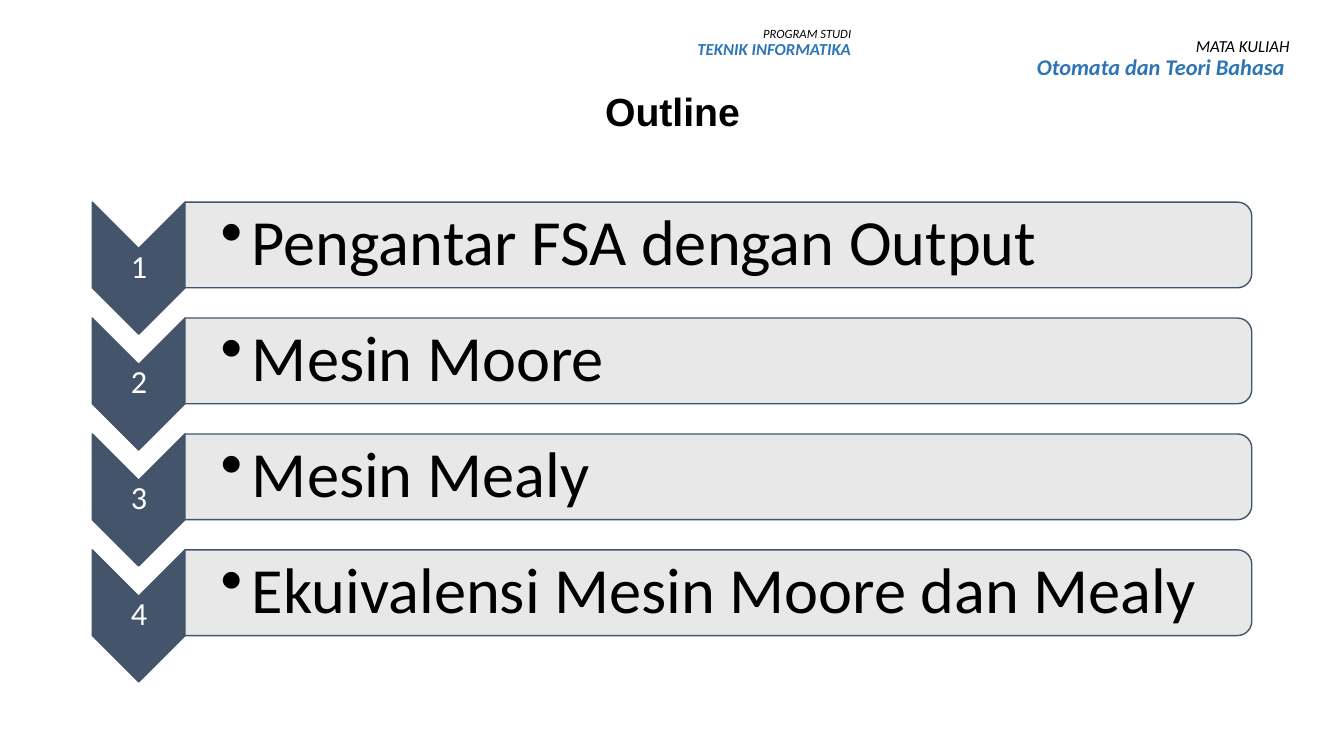
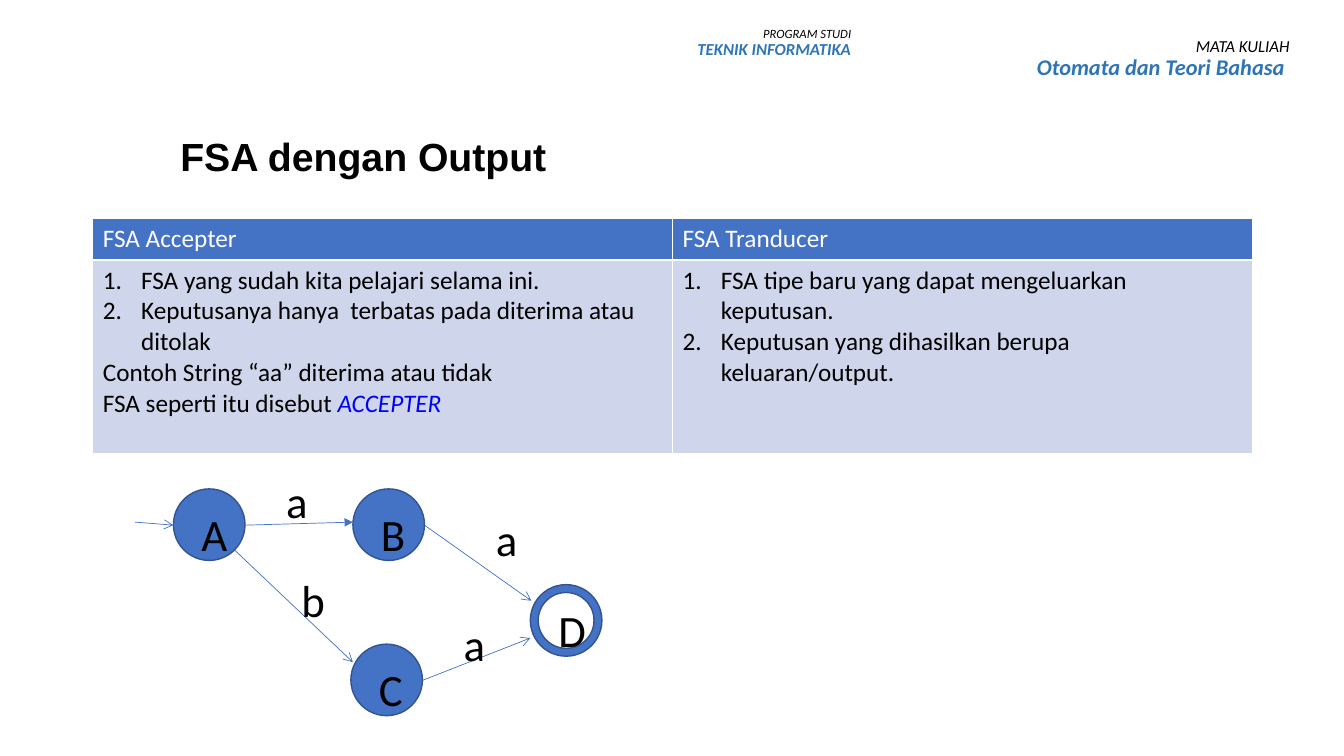
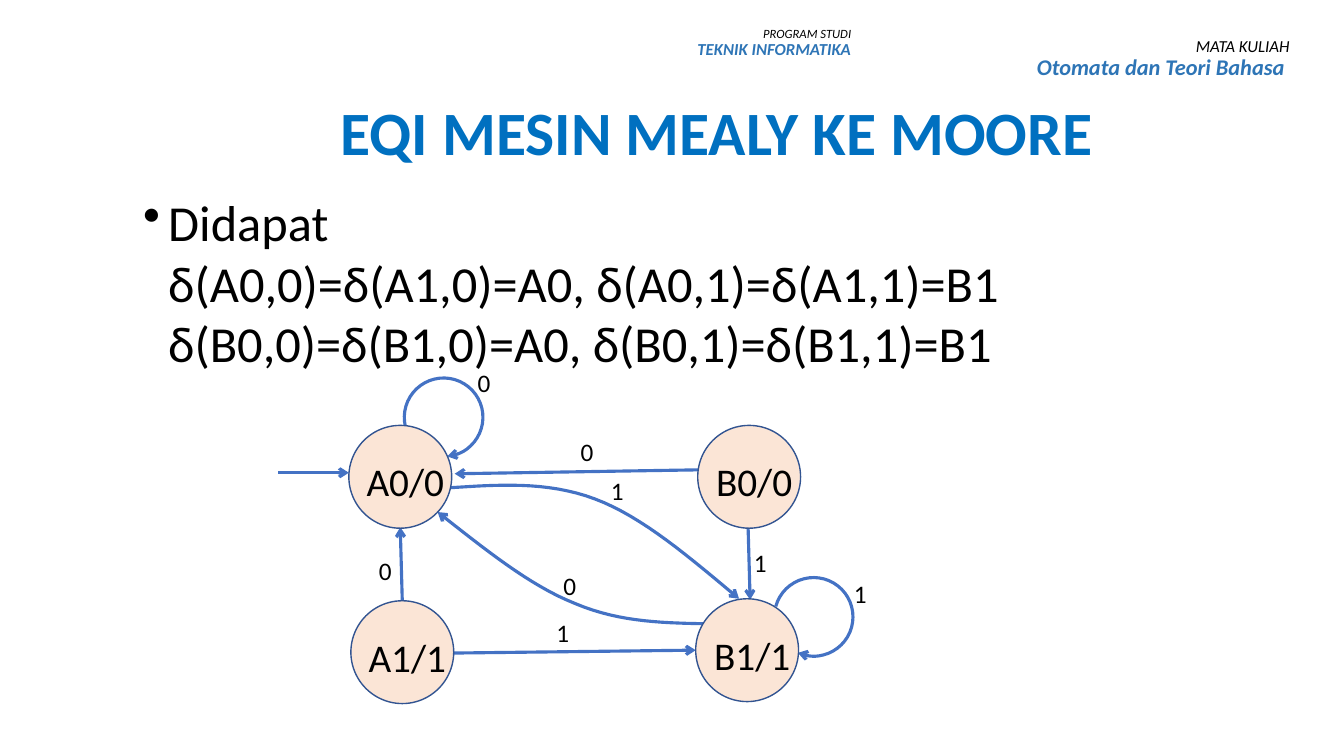
from dataclasses import dataclass
from lxml.etree import SubElement
from pptx import Presentation
from pptx.dml.color import RGBColor
from pptx.enum.shapes import MSO_CONNECTOR, MSO_SHAPE
from pptx.enum.text import MSO_ANCHOR, PP_ALIGN
from pptx.oxml.ns import qn
from pptx.util import Inches, Pt


@dataclass(frozen=True)
class Theme:
    black: RGBColor = RGBColor.from_string("000000")
    white: RGBColor = RGBColor.from_string("FFFFFF")
    slate: RGBColor = RGBColor.from_string("44546A")
    bar: RGBColor = RGBColor.from_string("E7E6E6")
    blue: RGBColor = RGBColor.from_string("4472C4")
    navy: RGBColor = RGBColor.from_string("325491")
    header: RGBColor = RGBColor.from_string("2E75B6")
    heading: RGBColor = RGBColor.from_string("0070C0")
    cell: RGBColor = RGBColor.from_string("CFD5EA")
    accent: RGBColor = RGBColor.from_string("0000FF")
    peach: RGBColor = RGBColor.from_string("FBE5D6")
    body_font: str = "Calibri"
    title_font: str = "Arial"
    title_size: int = 28
    heading_size: int = 44
    outline_size: int = 46
    number_size: int = 23
    formula_size: int = 36
    table_size: int = 18
    node_size: int = 32
    state_size: int = 28
    edge_size: int = 18


theme = Theme()


def write(frame, text, size, color=theme.black, font=theme.body_font, bold=False, italic=False,
          align=PP_ALIGN.LEFT, spacing=None, bullet=None, indent=0):
    frame.word_wrap = True
    para = frame.paragraphs[-1]
    if para.text:
        para = frame.add_paragraph()
    para.text = text
    para.alignment = align
    if spacing:
        para.line_spacing = spacing
    properties = para._p.get_or_add_pPr()
    if indent:
        properties.set("marL", str(Inches(indent)))
        properties.set("indent", str(Inches(-indent if bullet else 0)))
    if bullet == "•":
        SubElement(properties, qn("a:buChar"), char=bullet)
    elif bullet:
        SubElement(properties, qn("a:buAutoNum"), type=bullet)
    for span in para.runs:
        span.font.name = font
        span.font.size = Pt(size)
        span.font.color.rgb = color
        span.font.bold = bold
        span.font.italic = italic
    return para


def style_arrow(line_shape, width, tip="arrow"):
    line_shape.line.color.rgb = theme.blue
    line_shape.line.width = Pt(width)
    properties = line_shape.element.spPr
    SubElement(properties.get_or_add_ln(), qn("a:tailEnd"), type=tip)
    SubElement(properties, qn("a:effectLst"))


deck = Presentation()
deck.slide_width = Inches(13.33)
deck.slide_height = Inches(7.5)
outline, acceptor, conversion = [deck.slides.add_slide(deck.slide_layouts[6]) for _ in range(3)]

titles = [
    (outline, "Outline", (0.92, 0.4, 11.5, 1.45), PP_ALIGN.CENTER),
    (acceptor, "FSA dengan Output", (1.69, 1.13, 10.66, 0.89), PP_ALIGN.LEFT),
]
for page, text, place, align in titles:
    frame = page.shapes.add_textbox(*map(Inches, place)).text_frame
    frame.vertical_anchor = MSO_ANCHOR.MIDDLE
    write(frame, text, theme.title_size, font=theme.title_font, bold=True, align=align, spacing=0.9)

topics = ["Pengantar FSA dengan Output", "Mesin Moore", "Mesin Mealy", "Ekuivalensi Mesin Moore dan Mealy"]
for index, topic in enumerate(topics):
    top = 2.2 + 1.15 * index
    chevron = outline.shapes.add_shape(
        MSO_SHAPE.CHEVRON, Inches(0.72), Inches(top), Inches(1.31), Inches(0.92))
    bar = outline.shapes.add_shape(
        MSO_SHAPE.ROUND_2_SAME_RECTANGLE, Inches(6.7), Inches(top - 5.06), Inches(0.85), Inches(10.58))
    for shape, color in ((chevron, theme.slate), (bar, theme.bar)):
        shape.rotation = 90
        shape.shadow.inherit = False
        shape.fill.solid()
        shape.fill.fore_color.rgb = color
        shape.line.color.rgb = theme.slate
        shape.line.width = Pt(1)
    SubElement(bar.element.spPr.find(qn("a:solidFill"))[0], qn("a:alpha"), val="90000")

    number = outline.shapes.add_textbox(
        Inches(0.92), Inches(top + 0.26), Inches(0.92), Inches(0.39)).text_frame
    label = outline.shapes.add_textbox(
        Inches(1.83), Inches(top - 0.16), Inches(10.54), Inches(0.77)).text_frame
    for frame, left_margin, margin in ((number, 0.02, 0.02), (label, 0.36, 0.03)):
        frame.vertical_anchor = MSO_ANCHOR.MIDDLE
        frame.margin_left = Inches(left_margin)
        frame.margin_right = frame.margin_top = frame.margin_bottom = Inches(margin)
    write(number, str(index + 1), theme.number_size, theme.white, align=PP_ALIGN.CENTER, spacing=0.9)
    write(label, topic, theme.outline_size, spacing=0.9, bullet="•", indent=0.31)

table = acceptor.shapes.add_table(
    2, 2, Inches(0.92), Inches(2.17), Inches(11.5), Inches(2.33)).table
table.first_row = False
table.horz_banding = False
table.rows[0].height = Inches(0.41)
table.rows[1].height = Inches(1.92)
columns = [
    ("FSA Accepter",
     ["FSA yang sudah kita pelajari selama ini.",
      "Keputusanya hanya  terbatas pada diterima atau ditolak"]),
    ("FSA Tranducer",
     ["FSA tipe baru yang dapat mengeluarkan keputusan.",
      "Keputusan yang dihasilkan berupa keluaran/output."]),
]
for column, (heading, points) in enumerate(columns):
    write(table.cell(0, column).text_frame, heading, theme.table_size, theme.white)
    for point in points:
        write(table.cell(1, column).text_frame, point, theme.table_size,
              bullet="arabicPeriod", indent=0.38)
    for row, color in enumerate((theme.blue, theme.cell)):
        cell = table.cell(row, column)
        cell.fill.solid()
        cell.fill.fore_color.rgb = color
        properties = cell._tc.get_or_add_tcPr()
        for position, side in enumerate(("lnL", "lnR", "lnT", "lnB")):
            border = SubElement(properties, qn(f"a:{side}"), w=str(Pt(1)))
            SubElement(SubElement(border, qn("a:solidFill")), qn("a:srgbClr"), val=str(theme.white))
            properties.insert(position, border)
example = table.cell(1, 0).text_frame
write(example, "Contoh String “aa” diterima atau tidak", theme.table_size)
span = write(example, "FSA seperti itu disebut ", theme.table_size).add_run()
span.text = "ACCEPTER"
span.font.name = theme.body_font
span.font.size = Pt(theme.table_size)
span.font.italic = True
span.font.color.rgb = theme.accent

heading = conversion.shapes.add_textbox(
    Inches(3.24), Inches(0.88), Inches(7.74), Inches(0.84)).text_frame
write(heading, "EQI MESIN MEALY KE MOORE", theme.heading_size, theme.heading, bold=True,
      align=PP_ALIGN.CENTER)
heading.word_wrap = False
formulas = conversion.shapes.add_textbox(
    Inches(1.32), Inches(1.85), Inches(11.58), Inches(4.93)).text_frame
write(formulas, "Didapat", theme.formula_size, bullet="•", indent=0.25)
for formula in ("δ(A0,0)=δ(A1,0)=A0, δ(A0,1)=δ(A1,1)=B1", "δ(B0,0)=δ(B1,0)=A0, δ(B0,1)=δ(B1,1)=B1"):
    write(formulas, formula, theme.formula_size, indent=0.25)

arrows = [
    (acceptor, 0.5, "triangle", (2.43, 5.21), (3.5, 5.18)),
    (acceptor, 0.5, "arrow", (4.21, 5.21), (5.27, 5.96)),
    (acceptor, 0.5, "arrow", (2.33, 5.46), (3.5, 6.57)),
    (acceptor, 0.5, "arrow", (4.19, 6.75), (5.26, 6.33)),
    (acceptor, 0.5, "arrow", (1.34, 5.18), (1.72, 5.21)),
    (conversion, 2.25, "arrow", (7.01, 4.66), (4.51, 4.7)),
    (conversion, 2.25, "arrow", (4.4, 6.48), (6.9, 6.45)),
    (conversion, 2.25, "arrow", (2.76, 4.69), (3.46, 4.69)),
    (conversion, 2.25, "arrow", (3.99, 5.96), (3.97, 5.23)),
    (conversion, 2.25, "arrow", (7.42, 5.23), (7.44, 5.95)),
]
for page, width, tip, start, end in arrows:
    arrow = page.shapes.add_connector(MSO_CONNECTOR.STRAIGHT, *map(Inches, start + end))
    style_arrow(arrow, width, tip)

curves = [
    [(4.45, 4.84), (4.93, 4.81), (5.42, 4.77), (5.9, 4.95), (6.38, 5.13), (6.85, 5.54), (7.33, 5.94)],
    [(7.06, 6.19), (6.61, 6.18), (6.16, 6.18), (5.71, 5.99), (5.25, 5.81), (4.8, 5.44), (4.34, 5.08)],
]
steps = 16
for curve in curves:
    points = []
    for first in (0, 3):
        for step in range(1, steps + 1):
            t = step / steps
            weights = ((1 - t) ** 3, 3 * t * (1 - t) ** 2, 3 * t ** 2 * (1 - t), t ** 3)
            controls = curve[first:first + 4]
            points.append(tuple(
                Inches(sum(weight * control[axis] for weight, control in zip(weights, controls)))
                for axis in (0, 1)))
    builder = conversion.shapes.build_freeform(*map(Inches, curve[0]))
    builder.add_line_segments(points, close=False)
    transition = builder.convert_to_shape()
    transition.fill.background()
    style_arrow(transition, 2.25)

for left, top, rotation in ((4.01, 3.75, 76.5), (7.68, 5.73, 105.5)):
    loop = conversion.shapes.add_shape(
        MSO_SHAPE.ARC, Inches(left), Inches(top), Inches(0.78), Inches(0.78))
    loop.adjustments[0] = 54
    loop.adjustments[1] = 4.865
    loop.rotation = rotation
    loop.fill.background()
    style_arrow(loop, 2.25)

small_node = (0.71, theme.blue, (0.18, 0.13, 0.37, 0.64), theme.node_size, PP_ALIGN.LEFT)
large_node = (1.02, theme.peach, (0.04, 0.27, 1.04, 0.57), theme.state_size, PP_ALIGN.CENTER)
nodes = [
    (acceptor, "A", 1.72, 4.85, MSO_SHAPE.OVAL, small_node),
    (acceptor, "B", 3.5, 4.85, MSO_SHAPE.OVAL, small_node),
    (acceptor, "C", 3.48, 6.39, MSO_SHAPE.OVAL, small_node),
    (acceptor, "D", 5.26, 5.8, MSO_SHAPE.DONUT, small_node),
    (conversion, "A0/0", 3.46, 4.22, MSO_SHAPE.OVAL, large_node),
    (conversion, "A1/1", 3.48, 5.96, MSO_SHAPE.OVAL, large_node),
    (conversion, "B0/0", 6.92, 4.22, MSO_SHAPE.OVAL, large_node),
    (conversion, "B1/1", 6.9, 5.94, MSO_SHAPE.OVAL, large_node),
]
for page, name, left, top, kind, (diameter, color, offset, size, align) in nodes:
    node = page.shapes.add_shape(kind, Inches(left), Inches(top), Inches(diameter), Inches(diameter))
    if kind == MSO_SHAPE.DONUT:
        node.adjustments[0] = 0.11
    node.shadow.inherit = False
    node.fill.solid()
    node.fill.fore_color.rgb = color
    node.line.color.rgb = theme.navy
    node.line.width = Pt(1)
    right, down, width, height = offset
    label = page.shapes.add_textbox(
        Inches(left + right), Inches(top + down), Inches(width), Inches(height))
    write(label.text_frame, name, size, align=align)

inputs = [
    (acceptor, theme.node_size, 0.64,
     [("b", 2.89, 5.63), ("a", 2.74, 4.65), ("a", 4.82, 5.03), ("a", 4.5, 6.07)]),
    (conversion, theme.edge_size, 0.4,
     [("1", 5.96, 4.67), ("0", 4.64, 3.59), ("0", 3.66, 5.46), ("1", 5.42, 6.08),
      ("0", 5.49, 5.61), ("0", 5.66, 4.28), ("1", 7.38, 5.38), ("1", 8.37, 5.69)]),
]
for page, size, height, symbols in inputs:
    for symbol, left, top in symbols:
        label = page.shapes.add_textbox(Inches(left), Inches(top), Inches(0.33), Inches(height))
        write(label.text_frame, symbol, size)

headers = [
    ((6.03, 0.22, 2.51, 0.56), "PROGRAM STUDI", 9, "TEKNIK INFORMATIKA", 12),
    ((9.81, 0.33, 3.08, 0.74), "MATA KULIAH", 12, "Otomata dan Teori Bahasa ", 16),
]
for page in deck.slides:
    for place, caption, caption_size, name, name_size in headers:
        frame = page.shapes.add_textbox(*map(Inches, place)).text_frame
        write(frame, caption, caption_size, italic=True, align=PP_ALIGN.RIGHT, spacing=0.9)
        write(frame, name, name_size, theme.header, bold=True, italic=True,
              align=PP_ALIGN.RIGHT, spacing=0.9)

deck.save("out.pptx")
